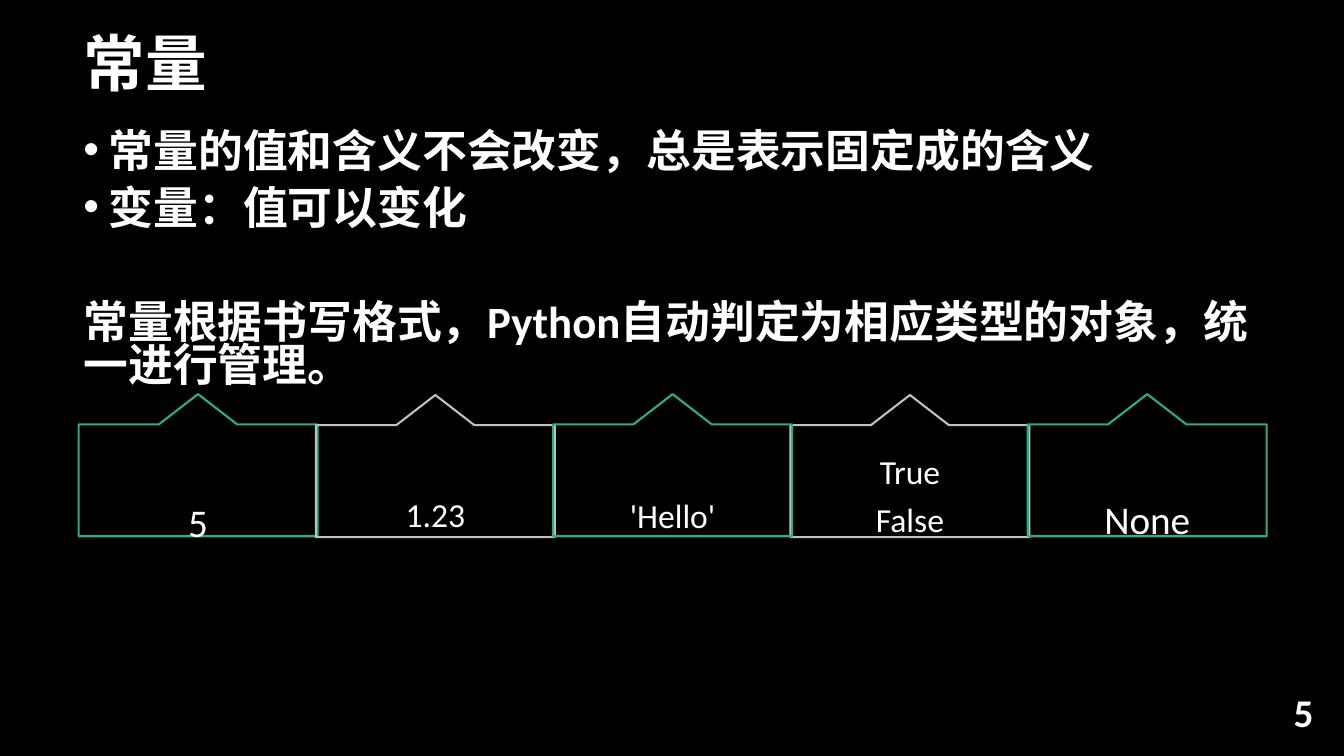
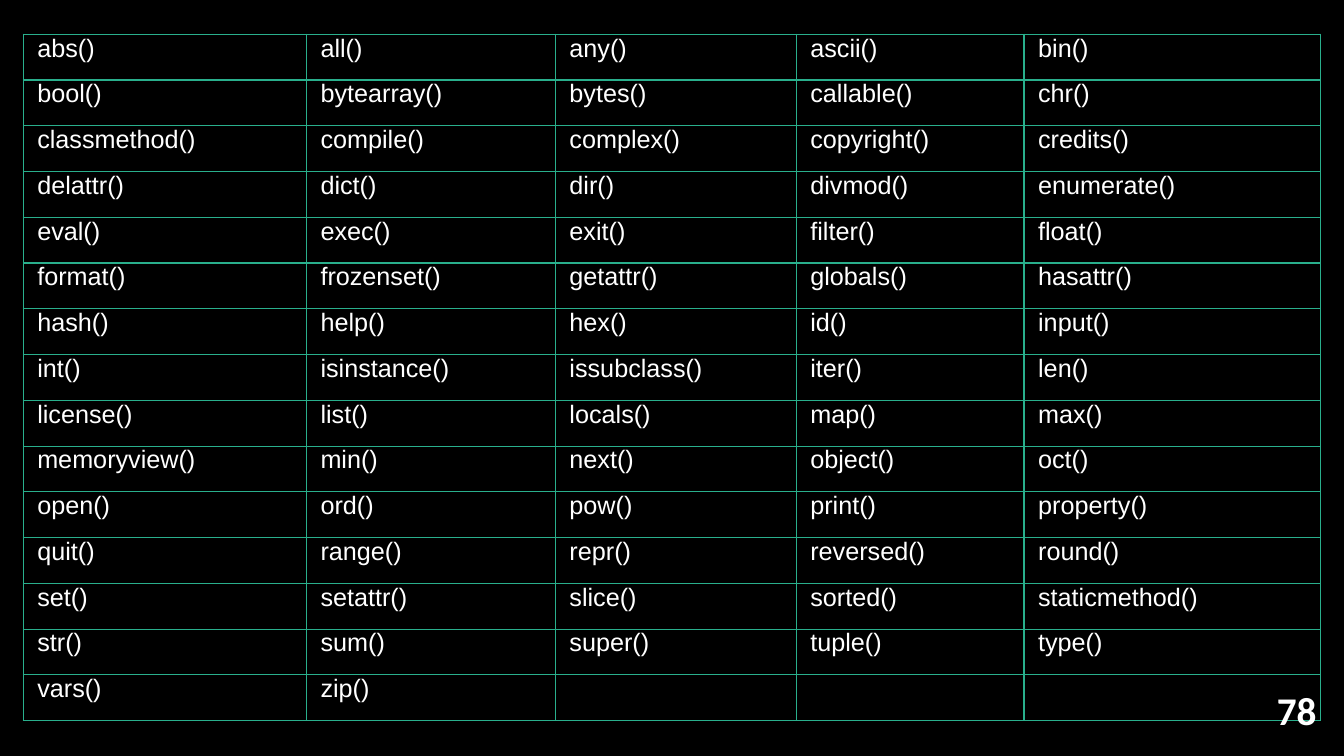
from lxml.etree import SubElement
from pptx import Presentation
from pptx.dml.color import RGBColor
from pptx.enum.text import MSO_ANCHOR, PP_ALIGN
from pptx.oxml.ns import qn
from pptx.util import Emu, Pt

COLS, ROWS, UNIT = 160, 90, 76200
LINE = 1.22  # height of a Calibri line, as a share of its size


def grid(n):
    """Length of n grid steps."""
    return Emu(round(n * UNIT))


def color(code):
    return RGBColor.from_string(code)


class Deck:
    BACK, INK, TEAL, GREY = "000000", "FFFFFF", "29AF8C", "C0C0C0"
    HEAD, BODY, CODE = "Noto Sans CJK SC", "Calibri", "Arial"

    def __init__(self):
        self.prs = Presentation()
        self.prs.slide_width, self.prs.slide_height = grid(COLS), grid(ROWS)
        self.slide = None

    def page(self):
        self.slide = self.prs.slides.add_slide(self.prs.slide_layouts[6])
        fill = self.slide.background.fill
        fill.solid()
        fill.fore_color.rgb = color(self.BACK)

    def run(self, para, text, size, face, bold=False):
        run = para.add_run()
        run.text = text
        font = run.font
        font.size, font.bold, font.name = Pt(size), bold, face
        font.color.rgb = color(self.INK)
        east = SubElement(run._r.get_or_add_rPr(), qn("a:ea"))
        east.set("typeface", face)

    def paras(self, frame, lines, size, face, bold=False, align=PP_ALIGN.LEFT,
              space=1.0):
        """Fill a frame; each line is (text, space before, has bullet)."""
        frame.word_wrap = True
        for i, (text, gap, dot) in enumerate(lines):
            para = frame.add_paragraph() if i else frame.paragraphs[0]
            if dot:
                props = para._p.get_or_add_pPr()
                props.set("marL", str(grid(3)))
                props.set("indent", str(-grid(3)))
                SubElement(props, qn("a:buFont")).set("typeface", "Arial")
                SubElement(props, qn("a:buChar")).set("char", "•")
            para.alignment, para.line_spacing = align, space
            if i:
                para.space_before = Pt(gap)
            self.run(para, text, size, face, bold)

    def text(self, x, y, w, h, lines, size, face, anchor=MSO_ANCHOR.MIDDLE,
             **style):
        box = self.slide.shapes.add_textbox(*map(grid, (x, y, w, h)))
        box.text_frame.vertical_anchor = anchor
        self.paras(box.text_frame, lines, size, face, bold=True, **style)

    def title(self, text):
        self.text(8.76, 3.12, 137.64, 9.72, [(text, 0, False)], 44, self.HEAD,
                  space=0.9)

    def body(self, lines):
        self.text(8.76, 15.24, 142.44, 34.44, lines, 32, self.BODY,
                  MSO_ANCHOR.TOP, space=0.8)

    def number(self, x, y, text):
        self.text(x, y, 36, 4.8, [(text, 0, False)], 28, self.BODY,
                  align=PP_ALIGN.RIGHT)

    def label(self, x, y, words, size, space, line):
        """Outlined box with a peak on its top edge."""
        w, h, top = 28.44, 16.92, 3.6
        mid, half = w / 2, 4.65
        dots = [(mid, 0), (mid + half, top), (w, top), (w, h), (0, h),
                (0, top), (mid - half, top)]
        dots = [(grid(x + a), grid(y + b)) for a, b in dots]
        pen = self.slide.shapes.build_freeform(*dots[0])
        pen.add_line_segments(dots[1:], close=True)
        shape = pen.convert_to_shape()
        shape.shadow.inherit = False
        shape.fill.background()
        shape.line.color.rgb = color(line)
        shape.line.width = Pt(1.5)
        frame = shape.text_frame
        frame.vertical_anchor = MSO_ANCHOR.MIDDLE
        frame.margin_left = frame.margin_right = frame.margin_bottom = 0
        drop = Pt(size * LINE) if len(words) == 1 else 0
        frame.margin_top = grid(6) + drop
        self.paras(frame, [(word, 0, False) for word in words], size,
                   self.BODY, align=PP_ALIGN.CENTER, space=space)

    def edge(self, cell):
        props = cell._tc.get_or_add_tcPr()
        for side in ("lnL", "lnR", "lnT", "lnB"):
            line = SubElement(props, qn("a:" + side), w=str(Pt(1)))
            fill = SubElement(line, qn("a:solidFill"))
            SubElement(fill, qn("a:srgbClr"), val=self.TEAL)

    def table(self, x, y, widths, high, rows):
        size = (sum(widths), high * len(rows))
        table = self.slide.shapes.add_table(
            len(rows), len(widths), *map(grid, (x, y, *size))).table
        table.first_row = table.horz_banding = False
        for col, width in zip(table.columns, widths):
            col.width = grid(width)
        for i, names in enumerate(rows):
            table.rows[i].height = grid(high)
            for cell in table.rows[i].cells:
                cell.margin_left = cell.margin_right = 0
                cell.margin_top = cell.margin_bottom = 0
                self.edge(cell)
                cell.fill.background()
            for j, name in enumerate(names):
                para = table.cell(i, j).text_frame.paragraphs[0]
                para._p.get_or_add_pPr().set("indent", str(grid(1.68)))
                self.run(para, name, 18, self.CODE)


TYPES = [
    (["5"], 28, 1.3),
    (["1.23"], 24, 1.1),
    (["'Hello'"], 24, 1.2),
    (["True", "False"], 24, 1.2),
    (["None"], 28, 1.2),
]

NAMES = """
abs all any ascii bin
bool bytearray bytes callable chr
classmethod compile complex copyright credits
delattr dict dir divmod enumerate
eval exec exit filter float
format frozenset getattr globals hasattr
hash help hex id input
int isinstance issubclass iter len
license list locals map max
memoryview min next object oct
open ord pow print property
quit range repr reversed round
set setattr slice sorted staticmethod
str sum super tuple type
vars zip
"""


def consts(deck):
    deck.page()
    deck.title("常量")
    deck.body([
        ("常量的值和含义不会改变，总是表示固定成的含义", 0, True),
        ("变量：值可以变化", 10, True),
        ("常量根据书写格式，Python自动判定为相应类型的对象，统一进行管理。", 51, False),
    ])
    for i in (0, 1, 3, 2, 4):
        odd = i % 2
        deck.label(9.36 + 28.25 * i, 46.92 + 0.1 * odd, *TYPES[i],
                   deck.GREY if odd else deck.TEAL)
    deck.number(121.56, 82.32, "5")


def builtins(deck):
    deck.page()
    rows = [[name + "()" for name in row.split()]
            for row in NAMES.strip().splitlines()]
    deck.table(2.76, 4.08, (33.72, 29.64, 28.68, 27.12, 35.28), 5.45, rows)
    deck.number(121.92, 82.08, "78")


def main():
    deck = Deck()
    consts(deck)
    builtins(deck)
    deck.prs.save("out.pptx")


if __name__ == "__main__":
    main()
